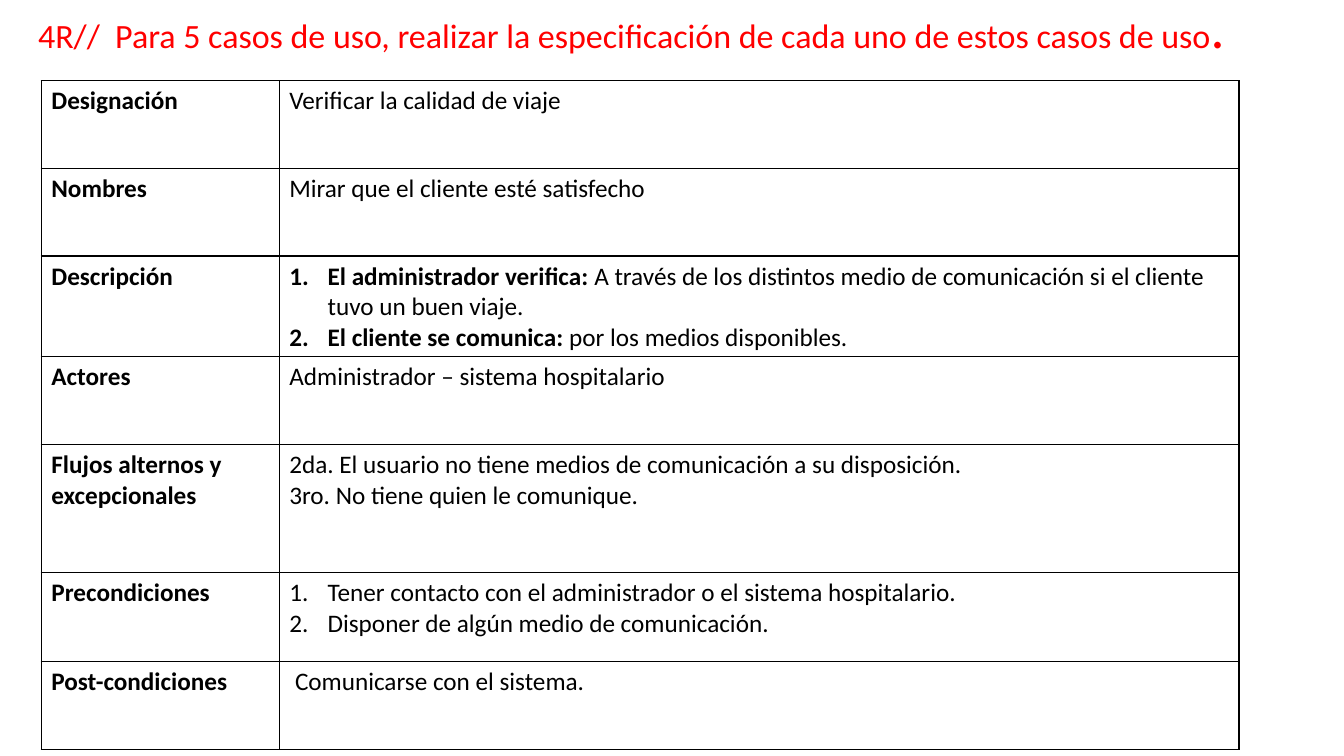
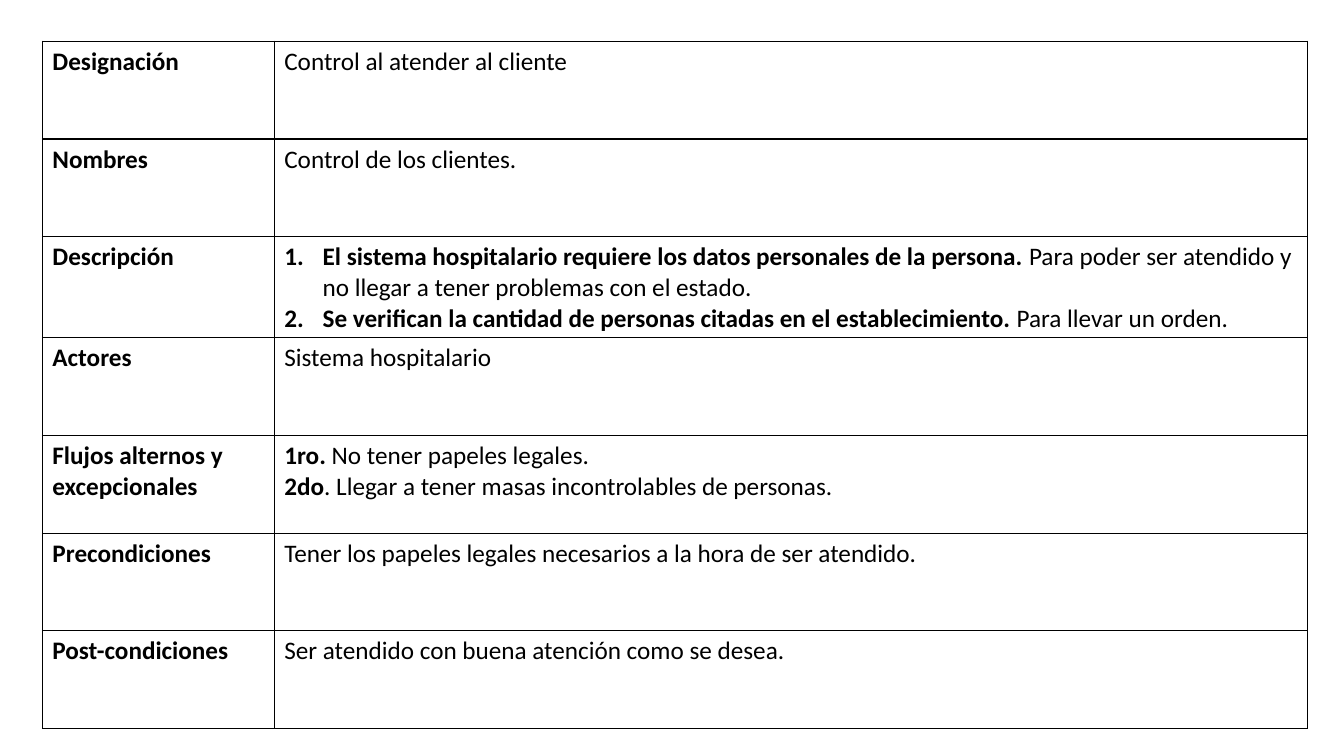
from lxml import etree
from pptx import Presentation
from pptx.dml.color import RGBColor
from pptx.enum.text import MSO_ANCHOR
from pptx.oxml.ns import qn
from pptx.util import Inches, Pt

BLACK = RGBColor(0x00, 0x00, 0x00)
RED = RGBColor(0xFF, 0x00, 0x00)
FONT = "Calibri"
MIDDLE = MSO_ANCHOR.MIDDLE
NUMBER_INDENT = Inches(0.38)

LABELS = [
    "Designación",
    "Nombres",
    "Descripción",
    "Actores",
    "Flujos alternos y excepcionales",
    "Precondiciones",
    "Post-condiciones",
]

# Each value is (numbered, paragraphs); each paragraph is (bold part, plain part).
USE_CASES = [
    {
        "title": ("4R//  Para 5 casos de uso, realizar la especificación "
                  "de cada uno de estos casos de uso", "."),
        "position": (0.41, 0.8),
        "columns": (2.36, 9.52),
        "rows": (0.87, 0.87, 0.87, 0.87, 1.27, 0.88, 0.88),
        "values": [
            (False, [("", "Verificar la calidad de viaje")]),
            (False, [("", "Mirar que el cliente esté satisfecho")]),
            (True, [
                ("El administrador verifica:",
                 " A través de los distintos medio de comunicación "
                 "si el cliente tuvo un buen viaje."),
                ("El cliente se comunica:", " por los medios disponibles."),
            ]),
            (False, [("", "Administrador – sistema hospitalario")]),
            (False, [
                ("", "2da. El usuario no tiene medios de comunicación a su disposición."),
                ("", "3ro. No tiene quien le comunique."),
            ]),
            (True, [
                ("", "Tener contacto con el administrador o el sistema hospitalario."),
                ("", "Disponer de algún medio de comunicación."),
            ]),
            (False, [("", " Comunicarse con el sistema.")]),
        ],
    },
    {
        "title": None,
        "position": (0.42, 0.41),
        "columns": (2.3, 10.25),
        "rows": (0.97,) * len(LABELS),
        "values": [
            (False, [("", "Control al atender al cliente")]),
            (False, [("", "Control de los clientes.")]),
            (True, [
                ("El sistema hospitalario requiere los datos personales de la persona.",
                 " Para poder ser atendido y no llegar a tener problemas con el estado."),
                ("Se verifican la cantidad de personas citadas en el establecimiento. ",
                 "Para llevar un orden."),
            ]),
            (False, [("", "Sistema hospitalario")]),
            (False, [
                ("1ro.", " No tener papeles legales."),
                ("2do", ". Llegar a tener masas incontrolables de personas."),
            ]),
            (False, [("", "Tener los papeles legales necesarios a la hora de ser atendido.")]),
            (False, [("", "Ser atendido con buena atención como se desea.")]),
        ],
    },
]


def add_run(paragraph, text, size, color, bold=False):
    run = paragraph.add_run()
    run.text = text
    run.font.name = FONT
    run.font.size = Pt(size)
    run.font.bold = bold
    run.font.color.rgb = color


def fill_cell(cell, paragraphs, numbered=False):
    """Write the paragraphs and give the cell thin black borders and no fill."""
    frame = cell.text_frame
    for index, (bold_part, plain_part) in enumerate(paragraphs):
        paragraph = frame.add_paragraph() if index else frame.paragraphs[0]
        if numbered:
            properties = paragraph._p.get_or_add_pPr()
            properties.set("marL", str(NUMBER_INDENT))
            properties.set("indent", str(-NUMBER_INDENT))
            etree.SubElement(properties, qn("a:buFont"), typeface="+mj-lt")
            etree.SubElement(properties, qn("a:buAutoNum"), type="arabicPeriod")
        for text, bold in ((bold_part, True), (plain_part, False)):
            if text:
                add_run(paragraph, text, 18, BLACK, bold)

    cell.fill.background()
    cell_properties = cell._tc.get_or_add_tcPr()
    for index, side in enumerate(("a:lnL", "a:lnR", "a:lnT", "a:lnB")):
        border = etree.Element(qn(side), w=str(Pt(1)))
        fill = etree.SubElement(border, qn("a:solidFill"))
        etree.SubElement(fill, qn("a:srgbClr"), val=str(BLACK))
        cell_properties.insert(index, border)


prs = Presentation()
prs.slide_width = Inches(13.33)
prs.slide_height = Inches(7.5)
blank = prs.slide_layouts[6]

for case in USE_CASES:
    slide = prs.slides.add_slide(blank)

    if case["title"]:
        heading, full_stop = case["title"]
        title = slide.shapes.add_textbox(
            Inches(0.28), Inches(0.11), Inches(12.14), Inches(0.38)).text_frame
        title.word_wrap = True
        title.vertical_anchor = MIDDLE
        title_line = title.paragraphs[0]
        title_line.line_spacing = 0.9
        add_run(title_line, heading, 24.3, RED)
        add_run(title_line, full_stop, 39.6, RED)

    left, top = case["position"]
    table = slide.shapes.add_table(
        len(LABELS), 2, Inches(left), Inches(top),
        Inches(sum(case["columns"])), Inches(sum(case["rows"]))).table
    table.first_row = False
    table.horz_banding = False
    for column, width in zip(table.columns, case["columns"]):
        column.width = Inches(width)
    for row, height, label, (numbered, paragraphs) in zip(
            table.rows, case["rows"], LABELS, case["values"]):
        row.height = Inches(height)
        fill_cell(row.cells[0], [(label, "")])
        fill_cell(row.cells[1], paragraphs, numbered)

prs.save("out.pptx")
